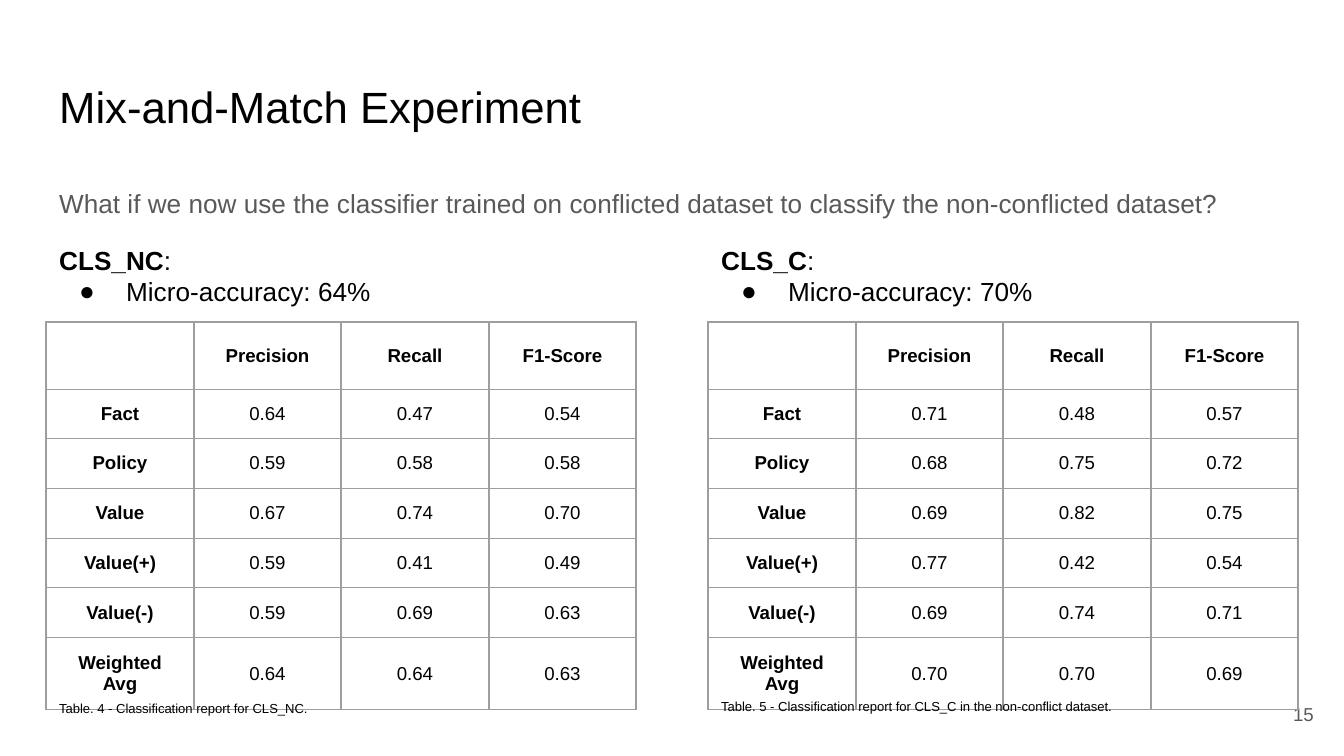
from lxml.etree import SubElement
from pptx import Presentation
from pptx.dml.color import RGBColor as RGB
from pptx.enum.text import MSO_ANCHOR as Anchor, PP_ALIGN as Align
from pptx.oxml.ns import qn
from pptx.util import Emu, Pt

SCALE = 914400 / 134.4
FONT = "Arial"
BLACK = RGB(0x00, 0x00, 0x00)
GREY = RGB(0x59, 0x59, 0x59)
RULE = RGB(0x9E, 0x9E, 0x9E)

# Table grid, in px
COLS = (148, 147, 148, 147)
ROWS = (49, 50, 50, 49, 50, 72)
HEADS = ("", "Precision", "Recall", "F1-Score")
NAMES = ("Fact", "Policy", "Value", "Value(+)", "Value(-)", "Weighted Avg")

NC_DATA = (
    ("0.64", "0.47", "0.54"),
    ("0.59", "0.58", "0.58"),
    ("0.67", "0.74", "0.70"),
    ("0.59", "0.41", "0.49"),
    ("0.59", "0.69", "0.63"),
    ("0.64", "0.64", "0.63"),
)
C_DATA = (
    ("0.71", "0.48", "0.57"),
    ("0.68", "0.75", "0.72"),
    ("0.69", "0.82", "0.75"),
    ("0.77", "0.42", "0.54"),
    ("0.69", "0.74", "0.71"),
    ("0.70", "0.70", "0.69"),
)


def px(n):
    return Emu(round(n * SCALE))


def add_run(para, text, size, color=BLACK, bold=False):
    run = para.add_run()
    run.text = text
    font = run.font
    font.name, font.size, font.bold = FONT, Pt(size), bold
    font.color.rgb = color


def add_box(slide, x, y, w, h, anchor=Anchor.TOP):
    frame = slide.shapes.add_textbox(px(x), px(y), px(w), px(h)).text_frame
    frame.word_wrap = True
    frame.vertical_anchor = anchor
    frame.margin_left = frame.margin_right = Pt(7.2)
    frame.margin_top = frame.margin_bottom = Pt(7.2)
    return frame


def add_line(slide, box, text, size, color=BLACK):
    para = add_box(slide, *box).paragraphs[0]
    add_run(para, text, size, color)
    return para


def set_bullet(para):
    props = para._p.get_or_add_pPr()
    props.set("marL", str(px(67)))
    props.set("indent", str(-px(47)))
    tint = SubElement(props, qn("a:buClr"))
    SubElement(tint, qn("a:srgbClr"), val=str(BLACK))
    SubElement(props, qn("a:buFont"), typeface=FONT)
    SubElement(props, qn("a:buChar"), char="●")


def set_border(cell):
    props = cell._tc.get_or_add_tcPr()
    for side in ("a:lnL", "a:lnR", "a:lnT", "a:lnB"):
        line = SubElement(props, qn(side), w=str(Pt(0.75)))
        fill = SubElement(line, qn("a:solidFill"))
        SubElement(fill, qn("a:srgbClr"), val=str(RULE))


def fill_cell(cell, text, bold):
    set_border(cell)
    cell.fill.background()
    cell.vertical_anchor = Anchor.MIDDLE
    cell.margin_left = cell.margin_right = Pt(7.2)
    cell.margin_top = cell.margin_bottom = Pt(7.2)
    para = cell.text_frame.paragraphs[0]
    para.alignment = Align.CENTER
    if text:
        add_run(para, text, 10, bold=bold)


def add_scores(slide, x, y, head, data):
    rows = (head, *ROWS)
    table = slide.shapes.add_table(
        len(rows), len(COLS), px(x), px(y), px(sum(COLS)), px(sum(rows))
    ).table
    table.first_row = table.horz_banding = False
    for col, width in zip(table.columns, COLS):
        col.width = px(width)
    for row, height in zip(table.rows, rows):
        row.height = px(height)
    grid = [HEADS] + [(name, *vals) for name, vals in zip(NAMES, data)]
    for r, vals in enumerate(grid):
        for c, text in enumerate(vals):
            fill_cell(table.cell(r, c), text, bold=r == 0 or c == 0)


def add_report(slide, x, name, score, head, data, note, note_y):
    add_scores(slide, x, 322, head, data)
    # Heading and bullet above the table
    frame = add_box(slide, x, 231, 590, 90)
    para = frame.paragraphs[0]
    add_run(para, name, 14, bold=True)
    add_run(para, ":", 14)
    item = frame.add_paragraph()
    set_bullet(item)
    add_run(item, f"Micro-accuracy: {score}", 14)
    # Caption over the table's last row
    add_line(slide, (x, note_y, 454, 43), note, 7)


def main():
    deck = Presentation()
    deck.slide_width, deck.slide_height = px(1344), px(756)
    slide = deck.slides.add_slide(deck.slide_layouts[6])

    # Title and question
    add_line(slide, (46, 66, 1253, 85), "Mix-and-Match Experiment", 23.4)
    ask = add_line(
        slide, (46, 169, 1253, 503),
        "What if we now use the classifier trained on conflicted dataset "
        "to classify the non-conflicted dataset?", 14, GREY)
    ask.line_spacing = 1.15
    ask.space_after = Pt(12)

    # Page number
    page = add_line(slide, (1246, 685, 81, 58, Anchor.MIDDLE), "15", 10, GREY)
    page.alignment = Align.RIGHT

    # Reports, right then left
    add_report(slide, 708, "CLS_C", "70%", 64, C_DATA,
               "Table. 5 - Classification report for CLS_C "
               "in the non-conflict dataset.", 691)
    add_report(slide, 46, "CLS_NC", "64%", 67, NC_DATA,
               "Table. 4 - Classification report for CLS_NC.", 693)

    deck.save("out.pptx")


if __name__ == "__main__":
    main()
